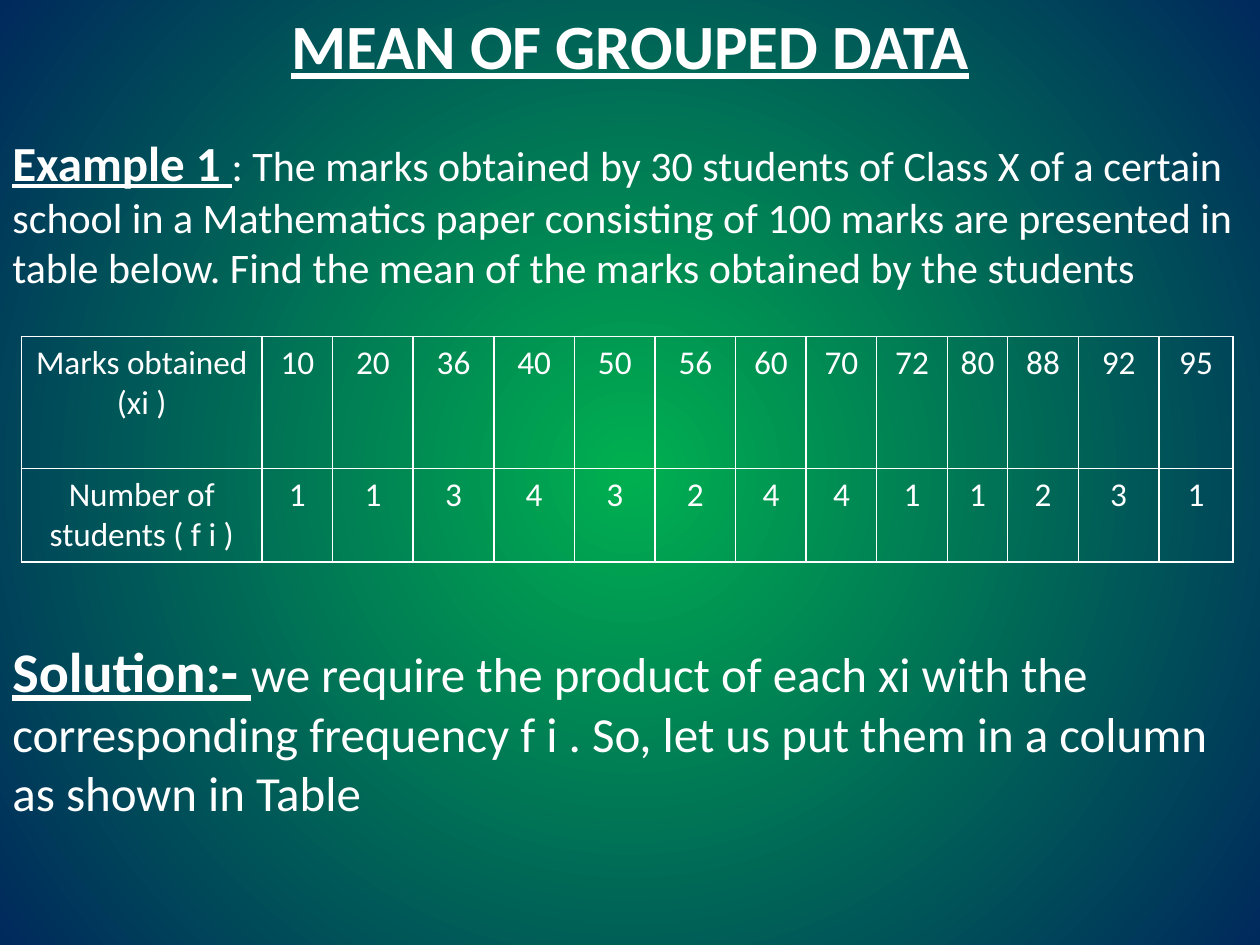
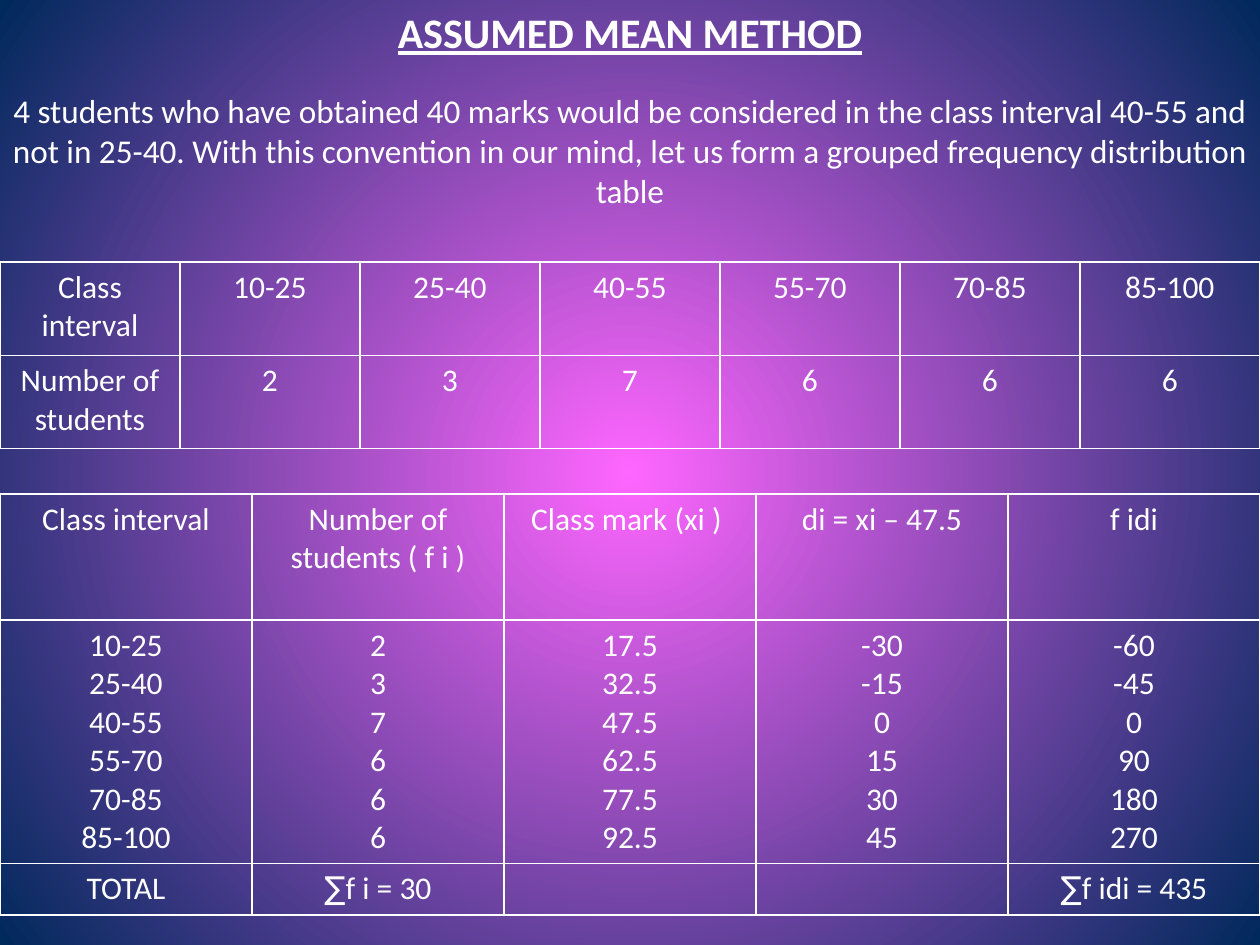
from lxml import etree
from pptx import Presentation
from pptx.dml.color import RGBColor
from pptx.enum.text import MSO_ANCHOR, MSO_AUTO_SIZE, PP_ALIGN
from pptx.oxml.ns import qn
from pptx.util import Inches, Pt

LEFT, CENTER = PP_ALIGN.LEFT, PP_ALIGN.CENTER
TOP = MSO_ANCHOR.TOP
FIXED = MSO_AUTO_SIZE.NONE
FONT, SUM_FONT = "Calibri", "Comic Neue"
WHITE, NAVY = "FFFFFF", "00295C"
GREEN, PINK = "00B050", "FF66FF"
SUM = "∑"


def color(code):
    return RGBColor.from_string(code)


class Deck:
    def __init__(self):
        self.prs = Presentation()
        self.prs.slide_width = Inches(10)
        self.prs.slide_height = Inches(7.5)

    def slide(self, glow):
        self.page = self.prs.slides.add_slide(self.prs.slide_layouts[5])
        fill = self.page.background.fill
        fill.gradient()
        for stop, code, place in zip(fill.gradient_stops, (glow, NAVY), (0, 1)):
            stop.color.rgb = color(code)
            stop.position = place
        grad = next(self.page.element.iter(qn("a:gradFill")))
        grad.remove(grad.find(qn("a:lin")))
        path = etree.SubElement(grad, qn("a:path"), path="circle")
        etree.SubElement(path, qn("a:fillToRect"), l="50000", t="50000", r="50000", b="50000")

    def style(self, run, size, bold=False, face=FONT):
        font = run.font
        font.name, font.size = face, Pt(size)
        font.bold = font.underline = bold
        font.color.rgb = color(WHITE)

    def frame(self, shape, top, height):
        shape.left, shape.top = Inches(0), Inches(top)
        shape.width, shape.height = Inches(10), Inches(height)
        frame = shape.text_frame
        frame.word_wrap = True
        frame.auto_size = FIXED
        frame.vertical_anchor = TOP
        return frame

    def title(self, text, size, height):
        frame = self.frame(self.page.shapes.title, 0, height)
        frame.text = text
        para = frame.paragraphs[0]
        para.alignment = CENTER
        self.style(para.runs[0], size, True)

    def text(self, top, height, body, size, lead="", align=LEFT):
        box = self.page.shapes.add_textbox(0, 0, 0, 0)
        para = self.frame(box, top, height).paragraphs[0]
        para.alignment = align
        if lead:
            para.text = lead
            self.style(para.runs[0], size + 4, True)
        run = para.add_run()
        run.text = body
        self.style(run, size)

    def border(self, cell):
        props = cell._tc.get_or_add_tcPr()
        for index, side in enumerate(("lnL", "lnR", "lnT", "lnB")):
            line = etree.Element(qn("a:" + side), w=str(Pt(1)))
            solid = etree.SubElement(line, qn("a:solidFill"))
            etree.SubElement(solid, qn("a:srgbClr"), val=WHITE)
            props.insert(index, line)

    def cell(self, cell, text, size):
        cell.fill.background()
        self.border(cell)
        total = text.startswith(SUM)
        cell.text = SUM if total else text
        for para in cell.text_frame.paragraphs:
            para.alignment = CENTER
            for run in para.runs:
                self.style(run, size, face=SUM_FONT if total else FONT)
        if total:
            run = cell.text_frame.paragraphs[0].add_run()
            run.text = text[len(SUM):]
            self.style(run, size)

    def table(self, left, top, widths, heights, rows, size):
        shape = self.page.shapes.add_table(
            len(rows), len(widths), Inches(left), Inches(top),
            Inches(sum(widths)), Inches(sum(heights)))
        table = shape.table
        table.first_row = table.horz_banding = False
        for column, width in zip(table.columns, widths):
            column.width = Inches(width)
        for line, height, row in zip(table.rows, heights, rows):
            line.height = Inches(height)
            for cell, text in zip(line.cells, row):
                self.cell(cell, text, size)


def grouped(deck):
    deck.slide(GREEN)
    deck.title("MEAN OF GROUPED DATA", 36, 0.71)
    deck.text(1, 1.38, ": The marks obtained by 30 students of Class X of a certain school "
              "in a Mathematics paper consisting of 100 marks are presented in table below. "
              "Find the mean of the marks obtained by the students", 24, "Example 1 ")
    widths = [1.91, 0.56] + [0.64] * 5 + [0.56] * 3 + [0.48, 0.56, 0.64, 0.59]
    marks = "10 20 36 40 50 56 60 70 72 80 88 92 95".split()
    counts = "1 1 3 4 3 2 4 4 1 1 2 3 1".split()
    rows = [["Marks obtained\n(xi )", *marks], ["Number of students ( f i )", *counts]]
    deck.table(0.17, 2.67, widths, [1.05, 0.73], rows, 19)
    deck.text(5, 1.58, "we require the product of each xi with the corresponding frequency f i . "
              "So, let us put them in a column as shown in Table", 28, "Solution:- ")


def assumed(deck):
    deck.slide(PINK)
    deck.title("ASSUMED MEAN METHOD", 24, 0.5)
    deck.text(0.67, 1.06, "4 students who have obtained 40 marks would be considered in the class "
              "interval 40-55 and not in 25-40. With this convention in our mind, let us form "
              "a grouped frequency distribution table", 19, align=CENTER)
    spans = "10-25 25-40 40-55 55-70 70-85 85-100".split()
    counts = [2, 3, 7, 6, 6, 6]
    mids = [17.5 + 15 * step for step in range(len(spans))]
    gaps = [round(mid - 47.5) for mid in mids]
    parts = [count * gap for count, gap in zip(counts, gaps)]
    rows = [["Class interval", *spans], ["Number of students", *map(str, counts)]]
    deck.table(0, 2.08, [10 / 7] * 7, [0.74] * 2, rows, 18)
    stacks = ["\n".join(map(str, data)) for data in (spans, counts, mids, gaps, parts)]
    rows = [
        ["Class interval", "Number of students ( f i )", "Class mark (xi ) ",
         "di = xi – 47.5", "f idi"],
        stacks,
        ["TOTAL", f"{SUM}f i = {sum(counts)}", "", "", f"{SUM}f idi = {sum(parts)}"],
    ]
    deck.table(0, 3.92, [2] * 5, [1, 1.9, 0.41], rows, 18)


def main():
    deck = Deck()
    grouped(deck)
    assumed(deck)
    deck.prs.save("out.pptx")


if __name__ == "__main__":
    main()
